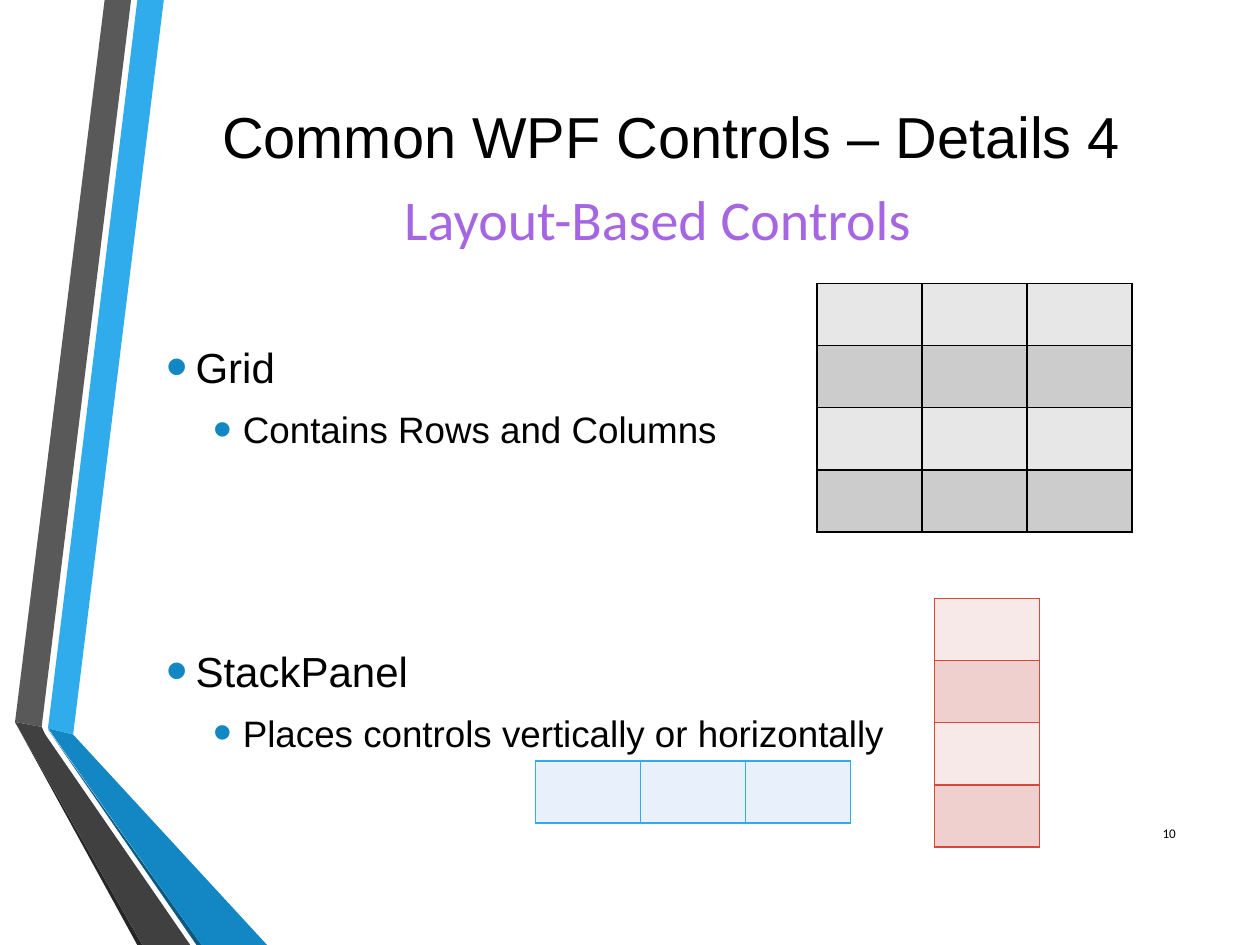
from lxml import etree
from pptx import Presentation
from pptx import util as u
from pptx.dml.color import RGBColor
from pptx.enum import text as t
from pptx.oxml import ns

BLACK = RGBColor(0x00, 0x00, 0x00)
SKY = RGBColor(0x30, 0xAC, 0xEC)
BLUE = RGBColor(0x12, 0x87, 0xC3)
NAVY = RGBColor(0x0C, 0x5A, 0x82)
GRAY = RGBColor(0x59, 0x59, 0x59)
COAL = RGBColor(0x40, 0x40, 0x40)
INK = RGBColor(0x26, 0x26, 0x26)
VIOLET = RGBColor(0xA6, 0x66, 0xE1)
RED = RGBColor(0xD6, 0x4A, 0x3B)
SILVER = (RGBColor(0xE7, 0xE7, 0xE7), RGBColor(0xCC, 0xCC, 0xCC))
ROSE = (RGBColor(0xF7, 0xE9, 0xE8), RGBColor(0xF0, 0xD0, 0xCE))
ICE = (RGBColor(0xE8, 0xF1, 0xFB),)

LEFT, WIDTH = 87.8, 591.8
COL, ROW = 60, 35.5
MID, TOP = t.MSO_ANCHOR.MIDDLE, t.MSO_ANCHOR.TOP


class Deck:
    sans = "Arial"
    alt = "Calibri"

    def __init__(self, wide, high):
        self.prs = Presentation()
        self.prs.slide_width = u.Pt(wide)
        self.prs.slide_height = u.Pt(high)
        self.slide = self.prs.slides.add_slide(self.prs.slide_layouts[6])

    def band(self, color, *dots):
        pen = self.slide.shapes.build_freeform(*map(u.Pt, dots[0]), scale=1.0)
        pen.add_line_segments([tuple(map(u.Pt, dot)) for dot in dots[1:]])
        shape = pen.convert_to_shape()
        shape.shadow.inherit = False
        shape.fill.solid()
        shape.fill.fore_color.rgb = color
        shape.line.fill.background()

    def box(self, left, top, wide, high, anchor=MID, wrap=True):
        area = self.slide.shapes.add_textbox(*map(u.Pt, (left, top, wide, high)))
        frame = area.text_frame
        frame.word_wrap = wrap
        frame.vertical_anchor = anchor
        return frame

    def style(self, para, size, font, color):
        for run in para.runs:
            run.font.size = u.Pt(size)
            run.font.name = font
            run.font.color.rgb = color

    def label(self, words, spot, size, font, color, align, **opts):
        frame = self.box(*spot, **opts)
        frame.text = words
        frame.paragraphs[0].alignment = align
        self.style(frame.paragraphs[0], size, font, color)

    def bullets(self, spot, inset, items):
        frame = self.box(*spot, anchor=TOP)
        frame.margin_top = u.Pt(inset)
        for i, (words, level, before) in enumerate(items):
            para = frame.paragraphs[0] if i == 0 else frame.add_paragraph()
            para.text = words
            para.level = level
            para.space_before = u.Pt(before)
            para.space_after = u.Pt(4.5)
            self.style(para, (24, 21)[level], self.sans, BLACK)
            props = para._p.get_or_add_pPr()
            props.set("marL", str(u.Pt((16.9, 43.9)[level])))
            props.set("indent", str(u.Pt(-16.9)))
            tint = etree.SubElement(props, ns.qn("a:buClr"))
            etree.SubElement(tint, ns.qn("a:srgbClr"), val=str(BLUE))
            etree.SubElement(props, ns.qn("a:buSzPct"), val="145000")
            etree.SubElement(props, ns.qn("a:buFont"), typeface=self.sans)
            etree.SubElement(props, ns.qn("a:buChar"), char="•")

    def grid(self, left, top, rows, cols, fills, edge):
        spot = map(u.Pt, (left, top, cols * COL, rows * ROW))
        table = self.slide.shapes.add_table(rows, cols, *spot).table
        table.first_row = False
        table.horz_banding = False
        for i in range(rows):
            for cell in table.rows[i].cells:
                self.edge(cell, edge)
                cell.fill.solid()
                cell.fill.fore_color.rgb = fills[i % len(fills)]

    def edge(self, cell, color):
        props = cell._tc.get_or_add_tcPr()
        for side in "LRTB":
            line = etree.SubElement(props, ns.qn("a:ln" + side), w=str(u.Pt(1)))
            fill = etree.SubElement(line, ns.qn("a:solidFill"))
            etree.SubElement(fill, ns.qn("a:srgbClr"), val=str(color))

    def save(self):
        self.prs.save("out.pptx")


def main():
    deck = Deck(720, 540)
    deck.band(SKY, (27.4, 416.2), (41.8, 419.8), (93.6, 0), (78.5, 0))
    deck.band(GRAY, (74.9, 0), (59.8, 0), (8.6, 412.6), (23.8, 415.4))
    deck.band(INK, (8.6, 412.6), (78.5, 540), (81.4, 540))
    deck.band(NAVY, (27.4, 416.9), (112.3, 540), (115.2, 540))
    deck.band(BLUE, (27.4, 416.2), (115.2, 540), (152.6, 540), (41.8, 419.8))
    deck.band(COAL, (108.7, 540), (25.9, 419.8), (23.8, 415.4),
              (8.6, 412.6), (81.4, 540))

    deck.label("Common WPF Controls – Details 4", (LEFT, 37, WIDTH, 80.6),
               33, deck.sans, BLACK, t.PP_ALIGN.CENTER)
    deck.bullets((LEFT, 162, WIDTH, 293.8), 33.2, (
        ("Grid", 0, 0),
        ("Contains Rows and Columns", 1, 4),
        ("StackPanel", 0, 106.5),
        ("Places controls vertically or horizontally", 1, 4),
    ))
    deck.label("10", (646.6, 461.8, 32.4, 28.8),
               7.5, deck.alt, BLACK, t.PP_ALIGN.RIGHT)
    deck.label("Layout-Based Controls", (223.9, 102.2, 319, 46.1),
               32, deck.alt, VIOLET, t.PP_ALIGN.LEFT, anchor=TOP, wrap=False)

    deck.grid(466.8, 162, 4, 3, SILVER, BLACK)
    deck.grid(534, 342, 4, 1, ROSE, RED)
    deck.grid(306, 434.8, 1, 3, ICE, SKY)
    deck.save()


if __name__ == "__main__":
    main()
